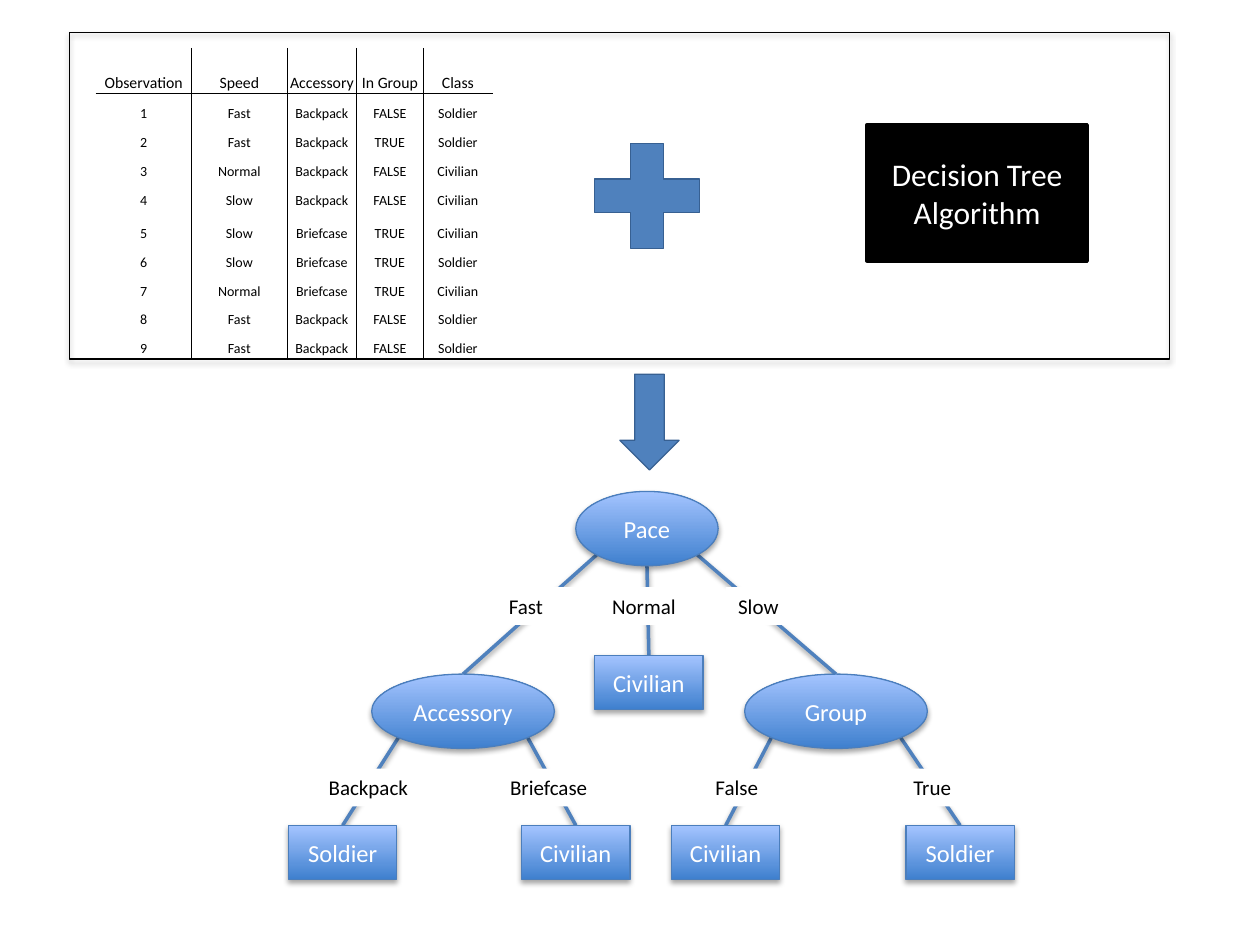
"""Build a slide showing training data and an algorithm yielding a decision tree."""
import math
from typing import NamedTuple

import lxml.etree
import pptx
import pptx.dml.color
import pptx.enum.shapes
import pptx.enum.text
import pptx.oxml.ns
import pptx.util

Inches, Pt = pptx.util.Inches, pptx.util.Pt
SHAPE = pptx.enum.shapes.MSO_SHAPE
ALIGN = pptx.enum.text.PP_ALIGN
ANCHOR = pptx.enum.text.MSO_ANCHOR
qn = pptx.oxml.ns.qn
FONT = "Calibri"
NO_TABLE_STYLE = "{2D5ABB26-0587-4C30-8999-92F81FD0307C}"
COLORS = {
    "black": "000000", "white": "FFFFFF", "blue": "4F81BD", "blue_edge": "376092",
    "node_dark": "3F80CE", "node_light": "A4C4FF", "node_edge": "4B7EBC",
}


class Node(NamedTuple):
    text: str
    x: float
    y: float
    w: float = 0.86
    h: float = 0.43
    kind: SHAPE = SHAPE.RECTANGLE


class Branch(NamedTuple):
    parent: str
    child: str
    side: int
    text: str
    x: float
    y: float
    w: float = 0.88


NODES = {
    "pace": Node("Pace", 4.57, 3.9, 1.13, 0.59, SHAPE.OVAL),
    "accessory": Node("Accessory", 2.95, 5.35, 1.45, 0.59, SHAPE.OVAL),
    "group": Node("Group", 5.91, 5.35, 1.45, 0.59, SHAPE.OVAL),
    "normal": Node("Civilian", 4.72, 5.2),
    "backpack": Node("Soldier", 2.29, 6.55),
    "briefcase": Node("Civilian", 4.14, 6.55),
    "false": Node("Civilian", 5.33, 6.55),
    "true": Node("Soldier", 7.19, 6.55),
}
BRANCHES = [
    Branch("pace", "normal", 0, "Normal", 4.76, 4.66, 0.94),
    Branch("pace", "group", 1, "Slow", 5.76, 4.66, 0.94),
    Branch("pace", "accessory", -1, "Fast", 3.94, 4.66, 0.73),
    Branch("accessory", "backpack", -1, "Backpack", 2.51, 6.1),
    Branch("accessory", "briefcase", 1, "Briefcase", 3.95, 6.1),
    Branch("group", "false", -1, "False", 5.58, 6.1),
    Branch("group", "true", 1, "True", 7.15, 6.1),
]
HEADER = ["Observation", "Speed", "Accessory", "In Group", "Class"]
OBSERVATIONS = [
    ("Fast", "Backpack", "FALSE", "Soldier"),
    ("Fast", "Backpack", "TRUE", "Soldier"),
    ("Normal", "Backpack", "FALSE", "Civilian"),
    ("Slow", "Backpack", "FALSE", "Civilian"),
    ("Slow", "Briefcase", "TRUE", "Civilian"),
    ("Slow", "Briefcase", "TRUE", "Soldier"),
    ("Normal", "Briefcase", "TRUE", "Civilian"),
    ("Fast", "Backpack", "FALSE", "Soldier"),
    ("Fast", "Backpack", "FALSE", "Soldier"),
]
COL_WIDTHS = [0.76, 0.76, 0.55, 0.53, 0.55]
ROW_HEIGHTS = [0.36] + [0.23] * 4 + [0.26] + [0.23] * 4


def rgb(name: str) -> pptx.dml.color.RGBColor:
    return pptx.dml.color.RGBColor.from_string(COLORS[name])


def add_color(parent, name: str):
    fill = lxml.etree.SubElement(parent, qn("a:solidFill"))
    lxml.etree.SubElement(fill, qn("a:srgbClr"), val=COLORS[name])


def add_shadow(sp, dist: float, alpha: int):
    effects = lxml.etree.SubElement(sp._element.spPr, qn("a:effectLst"))
    shadow = lxml.etree.SubElement(
        effects, qn("a:outerShdw"), blurRad=str(Pt(3.1)), dist=str(Pt(dist)),
        dir="5400000", rotWithShape="0")
    color = lxml.etree.SubElement(shadow, qn("a:srgbClr"), val=COLORS["black"])
    lxml.etree.SubElement(color, qn("a:alpha"), val=str(alpha * 1000))


def set_text(tf, text: str, size: float, color: str, align=ALIGN.CENTER):
    tf.text = text
    p = tf.paragraphs[0]
    p.alignment = align
    p.font.name, p.font.size = FONT, Pt(size)
    p.font.color.rgb = rgb(color)


def add_box(s, kind: SHAPE, x: float, y: float, w: float, h: float,
            fill: str = "", line: str = "", weight: float = 0.75, shadow: bool = False):
    sp = s.shapes.add_shape(kind, Inches(x), Inches(y), Inches(w), Inches(h))
    if fill:
        sp.fill.solid()
        sp.fill.fore_color.rgb = rgb(fill)
    else:
        sp.fill.background()
    if line:
        sp.line.color.rgb = rgb(line)
        sp.line.width = Pt(weight)
    else:
        sp.line.fill.background()
    if shadow:
        add_shadow(sp, 1.8, 35)
    else:
        sp.shadow.inherit = False
    return sp


def add_node(s, node: Node):
    sp = add_box(s, node.kind, node.x, node.y, node.w, node.h, line="node_edge", shadow=True)
    sp.fill.gradient()
    sp.fill.gradient_angle = 90
    for stop, name in zip(sp.fill.gradient_stops, ("node_dark", "node_light")):
        stop.color.rgb = rgb(name)
    sp.text_frame.vertical_anchor = ANCHOR.MIDDLE
    set_text(sp.text_frame, node.text, 14, "white")


def add_branch_line(s, branch: Branch):
    parent, child = NODES[branch.parent], NODES[branch.child]
    angle = math.radians(90 - 45 * branch.side)
    x1 = parent.x + parent.w / 2 * (1 + math.cos(angle))
    y1 = parent.y + parent.h / 2 * (1 + math.sin(angle))
    line = s.shapes.add_connector(
        pptx.enum.shapes.MSO_CONNECTOR.STRAIGHT, Inches(x1), Inches(y1),
        Inches(child.x + child.w / 2), Inches(child.y))
    line.line.color.rgb = rgb("blue")
    line.line.width = Pt(2)
    add_shadow(line, 1.6, 38)


def add_branch_label(s, branch: Branch):
    tb = s.shapes.add_textbox(Inches(branch.x), Inches(branch.y), Inches(branch.w), Inches(0.3))
    tb.fill.solid()
    tb.fill.fore_color.rgb = rgb("white")
    tb.text_frame.word_wrap = True
    set_text(tb.text_frame, branch.text, 12, "black", ALIGN.LEFT)


def set_borders(cell, sides: str):
    tc_pr = cell._tc.get_or_add_tcPr()
    for side in "LRTB":
        ln = lxml.etree.SubElement(tc_pr, qn(f"a:ln{side}"), w=str(Pt(0.5)))
        if side in sides:
            add_color(ln, "black")
        else:
            lxml.etree.SubElement(ln, qn("a:noFill"))


def add_observations(s):
    rows = [HEADER] + [(str(i), *row) for i, row in enumerate(OBSERVATIONS, 1)]
    table = s.shapes.add_table(
        len(rows), len(HEADER), Inches(0.76), Inches(0.38),
        Inches(sum(COL_WIDTHS)), Inches(sum(ROW_HEIGHTS))).table
    table.first_row = table.horz_banding = False
    table._tbl.tblPr.find(qn("a:tableStyleId")).text = NO_TABLE_STYLE
    for col, width in zip(table.columns, COL_WIDTHS):
        col.width = Inches(width)
    for i, (row, height) in enumerate(zip(rows, ROW_HEIGHTS)):
        table.rows[i].height = Inches(height)
        for j, text in enumerate(row):
            cell = table.cell(i, j)
            cell.margin_left = cell.margin_right = cell.margin_top = Inches(0.01)
            cell.margin_bottom = 0
            cell.vertical_anchor = ANCHOR.BOTTOM
            set_text(cell.text_frame, text, 8 if i else 9, "black")
            sides = ("L" if j else "") + ("R" if j < len(row) - 1 else "")
            set_borders(cell, sides + {0: "B", 1: "T"}.get(i, ""))
            cell.fill.background()


prs = pptx.Presentation()
prs.slide_width, prs.slide_height = Inches(10), Inches(7.5)
s = prs.slides.add_slide(prs.slide_layouts[6])

add_observations(s)
add_box(s, SHAPE.MATH_PLUS, 4.57, 0.99, 1.13, 1.13, "blue", "blue_edge")
algorithm = add_box(s, SHAPE.RECTANGLE, 6.88, 0.99, 1.75, 1.08, "black", "black", 2)
set_text(algorithm.text_frame, "Decision Tree Algorithm", 18, "white")
add_box(s, SHAPE.DOWN_ARROW, 4.92, 2.97, 0.47, 0.76, "blue", "blue_edge")
add_box(s, SHAPE.RECTANGLE, 0.55, 0.26, 8.73, 2.59, line="black", shadow=True)

for branch in BRANCHES:
    add_branch_line(s, branch)
for node in NODES.values():
    add_node(s, node)
for branch in BRANCHES:
    add_branch_label(s, branch)

prs.save("out.pptx")
